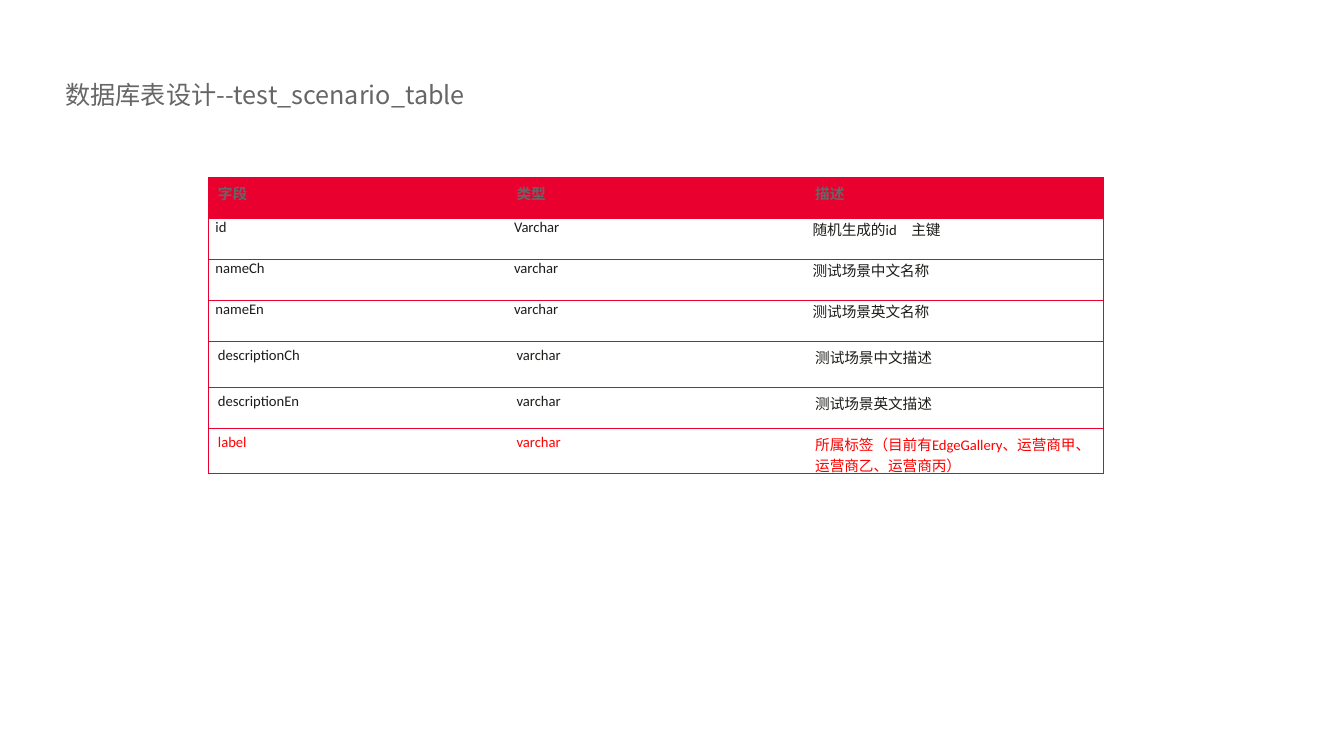
from lxml import etree
from pptx import Presentation
from pptx.dml.color import RGBColor
from pptx.enum.text import PP_ALIGN
from pptx.oxml.ns import qn
from pptx.util import Pt

JUSTIFY = PP_ALIGN.JUSTIFY
COLORS = {"red": "E9002F", "grey": "666666", "ink": "1D1D1A", "alert": "FF0000"}
LATIN, CJK = "Calibri", "Noto Sans CJK SC"

FIELDS = [
    ("字段", "类型", "描述"),
    ("id", "Varchar", "随机生成的id　主键"),
    ("nameCh", "varchar", "测试场景中文名称"),
    ("nameEn", "varchar", "测试场景英文名称"),
    ("descriptionCh", "varchar", "测试场景中文描述"),
    ("descriptionEn", "varchar", "测试场景英文描述"),
    ("label", "varchar", "所属标签（目前有EdgeGallery、运营商甲、运营商乙、运营商丙）"),
]
ROW_HEIGHTS = [29.2, 29.2, 29.2, 29.2, 32.9, 29.2, 32.2]
COLUMN_WIDTH = 213.4
TIGHT_ROWS = range(1, 4)


def color(name):
    return RGBColor.from_string(COLORS[name])


def write(p, text, font, size, color_name, bold=False):
    r = p.add_run()
    r.text = text
    p.font.size = r.font.size = Pt(size)
    p.font.bold = r.font.bold = bold
    r.font.name = font
    r.font.color.rgb = color(color_name)
    ea = etree.SubElement(r.font._element, qn("a:ea"))
    ea.set("typeface", CJK)


def add_title(s, text):
    box = s.shapes.add_textbox(Pt(39.6), Pt(40.3), Pt(441.4), Pt(75.6))
    tf = box.text_frame
    tf.word_wrap = True
    p = tf.paragraphs[0]
    p.line_spacing = Pt(34.4)
    write(p, text, CJK, 18, "grey")


def set_borders(cell, visible):
    """Draw the sides named in visible (letters of LRTB) and hide the others."""
    tcPr = cell._tc.get_or_add_tcPr()
    for side in "LRTB":
        ln = etree.SubElement(tcPr, qn("a:ln" + side), w=str(Pt(0.5)))
        if side in visible:
            fill = etree.SubElement(ln, qn("a:solidFill"))
            etree.SubElement(fill, qn("a:srgbClr"), val=COLORS["red"])
        else:
            etree.SubElement(ln, qn("a:noFill"))


def fill_cell(cell, text, row, col):
    header, last = row == 0, row == len(FIELDS) - 1
    set_borders(cell, "TB" + {0: "L", 2: "R"}.get(col, ""))
    if header:
        cell.fill.solid()
        cell.fill.fore_color.rgb = color("red")
    else:
        cell.fill.background()
    p = cell.text_frame.paragraphs[0]
    if row in TIGHT_ROWS:
        cell.margin_left = cell.margin_right = Pt(5.4)
        cell.margin_top = cell.margin_bottom = Pt(0)
        p.alignment = JUSTIFY
    if last:
        cell.margin_bottom = Pt(0)
    color_name = "grey" if header else "alert" if last else "ink"
    write(p, text, LATIN, 10.5, color_name, bold=header)


def add_field_table(s):
    rows, cols = len(FIELDS), len(FIELDS[0])
    frame = s.shapes.add_table(rows, cols, Pt(148.6), Pt(127),
                               Pt(COLUMN_WIDTH * cols), Pt(sum(ROW_HEIGHTS)))
    table = frame.table
    table.first_row = table.horz_banding = False
    for column in table.columns:
        column.width = Pt(COLUMN_WIDTH)
    for row, (texts, height) in enumerate(zip(FIELDS, ROW_HEIGHTS)):
        table.rows[row].height = Pt(height)
        for col, text in enumerate(texts):
            fill_cell(table.cell(row, col), text, row, col)


def main():
    prs = Presentation()
    prs.slide_width, prs.slide_height = Pt(960.5), Pt(540)
    s = prs.slides.add_slide(prs.slide_layouts[6])
    add_title(s, "数据库表设计--test_scenario_table")
    add_field_table(s)
    prs.save("out.pptx")


if __name__ == "__main__":
    main()
